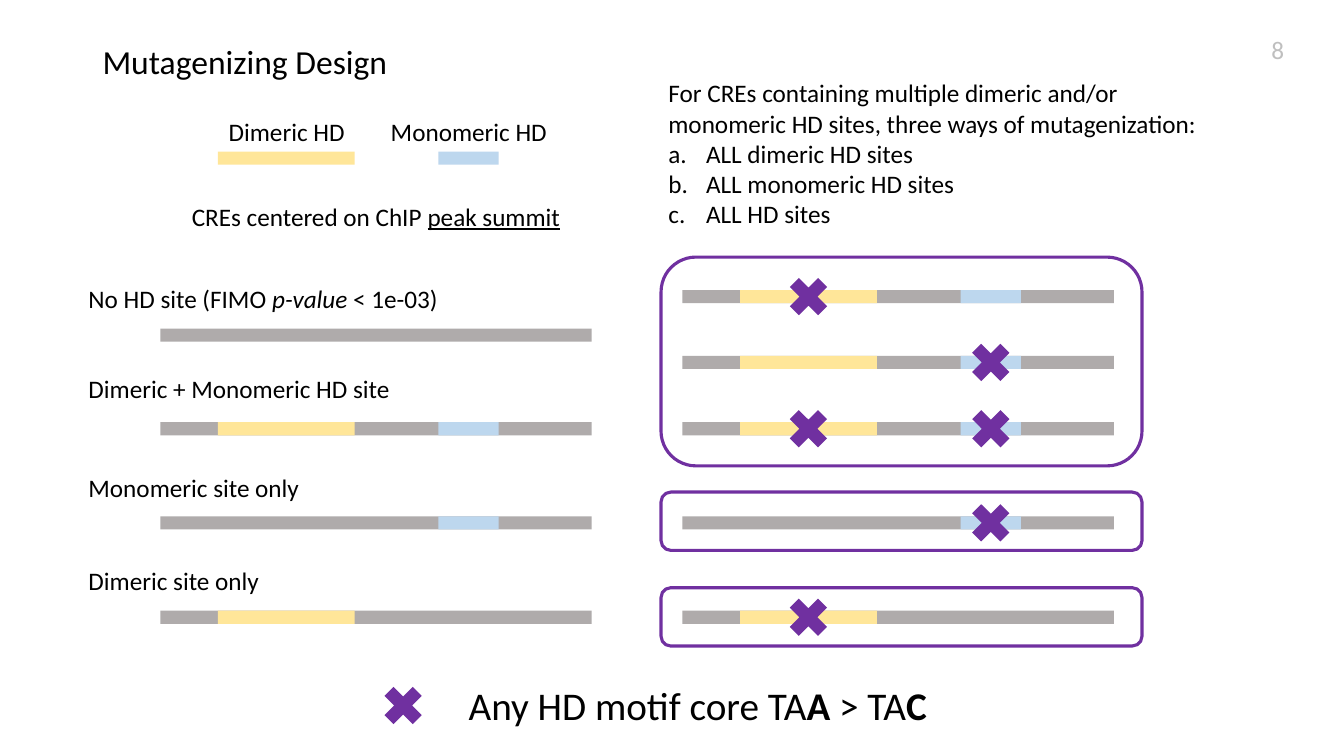
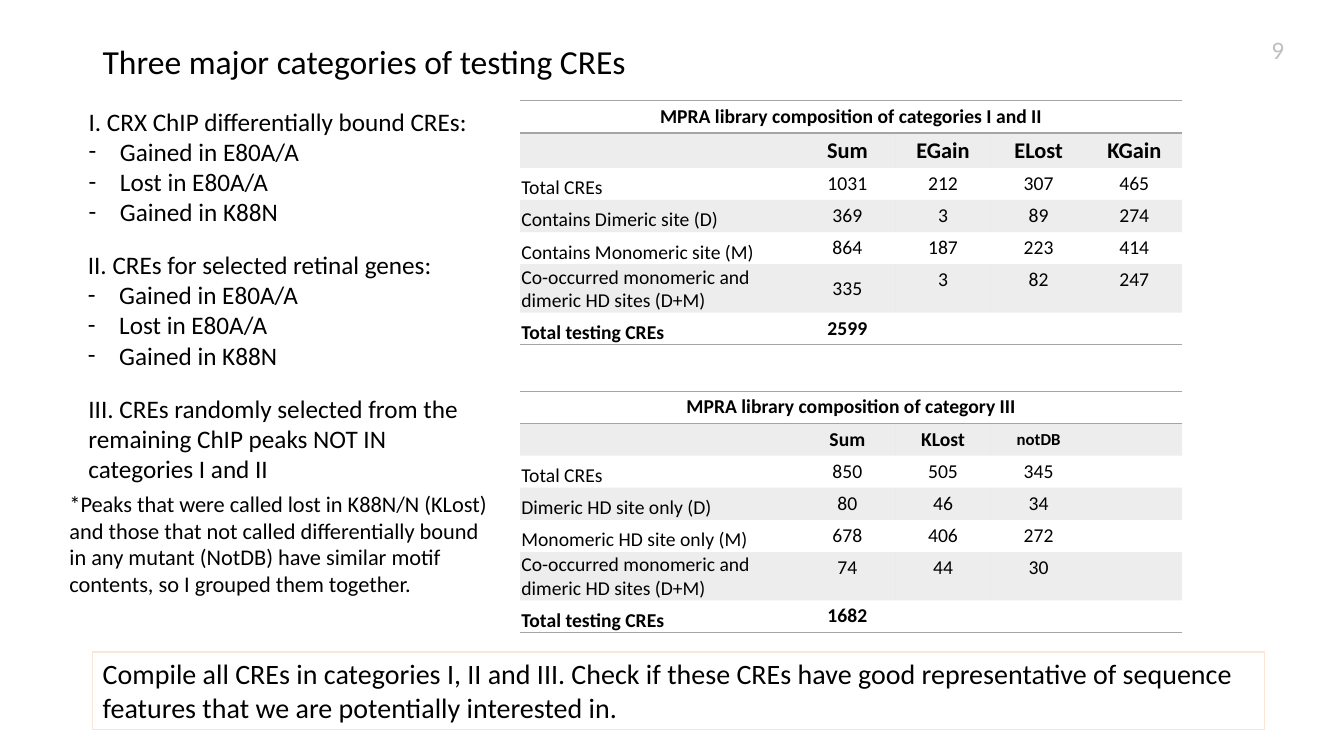
import pptx
import pptx.util
import pptx.dml.color
import pptx.enum.shapes
import pptx.enum.text
import pptx.oxml.ns
from lxml import etree

Cm, Pt = pptx.util.Cm, pptx.util.Pt
RGBColor = pptx.dml.color.RGBColor
SHAPE = pptx.enum.shapes.MSO_SHAPE
ALIGN = pptx.enum.text.PP_ALIGN
ANCHOR = pptx.enum.text.MSO_ANCHOR
FIT = pptx.enum.text.MSO_AUTO_SIZE
qn = pptx.oxml.ns.qn

BLACK = RGBColor(0x00, 0x00, 0x00)
PAGE_GRAY = RGBColor(0xBF, 0xBF, 0xBF)
SEQUENCE_GRAY = RGBColor(0xAF, 0xAB, 0xAB)
DIMERIC_YELLOW = RGBColor(0xFF, 0xE6, 0x99)
MONOMERIC_BLUE = RGBColor(0xBD, 0xD7, 0xEE)
MUTATION_PURPLE = RGBColor(0x70, 0x30, 0xA0)
TABLE_GRAY = RGBColor(0xA5, 0xA5, 0xA5)
PEACH = RGBColor(0xFB, 0xE5, 0xD6)

FONT = "Calibri"
NO_GRID_STYLE = "{2D5ABB26-0587-4C30-8999-92F81FD0307C}"
SITE_HEIGHT = 0.33
SEQUENCE_WIDTH = 10.87
DIMERIC = (1.45, 3.45, DIMERIC_YELLOW)
MONOMERIC = (7.01, 1.52, MONOMERIC_BLUE)
CROSS = 1.37
LETTERS = ("a:buAutoNum", {"type": "alphaLcPeriod"})
DASHES = ("a:buChar", {"char": "-"})


class Deck:
    """Holds the shared style and the current slide, and draws each kind of element."""

    def __init__(self):
        self.prs = pptx.Presentation()
        self.prs.slide_width, self.prs.slide_height = Cm(33.87), Cm(19.05)
        self.slide = None

    def start(self, layout, title, page):
        self.slide = self.prs.slides.add_slide(self.prs.slide_layouts[layout])
        frame = self.placeholder(0, 2.33, 1.02, 29.21, 3.68)
        self.add_words(frame, [title], size=24)
        frame.paragraphs[0].line_spacing = 0.9
        self.text([page], 28.88, 0.74, 3.73, 1.04, align=ALIGN.RIGHT, color=PAGE_GRAY)

    def placeholder(self, index, left, top, width, height):
        holder = self.slide.placeholders[index]
        holder.left, holder.top = Cm(left), Cm(top)
        holder.width, holder.height = Cm(width), Cm(height)
        frame = holder.text_frame
        frame.auto_size = FIT.NONE
        frame.vertical_anchor = ANCHOR.TOP
        return frame

    def add_words(self, frame, paragraphs, size=18, align=ALIGN.LEFT, color=BLACK):
        """Each paragraph is a string or a list of (text, style letters) runs."""
        for number, content in enumerate(paragraphs):
            paragraph = frame.paragraphs[0] if number == 0 else frame.add_paragraph()
            paragraph.alignment = align
            runs = [(content, "")] if isinstance(content, str) else content
            for words, style in runs:
                run = paragraph.add_run()
                run.text = words
                font = run.font
                font.name, font.size, font.color.rgb = FONT, Pt(size), color
                if "b" in style:
                    font.bold = True
                if "i" in style:
                    font.italic = True
                if "u" in style:
                    font.underline = True

    def text(self, paragraphs, left, top, width, height, **style):
        box = self.slide.shapes.add_textbox(Cm(left), Cm(top), Cm(width), Cm(height))
        box.text_frame.word_wrap = True
        box.text_frame.auto_size = FIT.SHAPE_TO_FIT_TEXT
        self.add_words(box.text_frame, paragraphs, **style)
        return box

    def bullets(self, index, intro, items, marker, indent, left, top, width, height):
        frame = self.placeholder(index, left, top, width, height)
        self.add_words(frame, [intro, *items])
        for number, paragraph in enumerate(frame.paragraphs):
            paragraph.space_before = Pt(0)
            properties = paragraph._p.get_or_add_pPr()
            hang = Cm(indent) if number else 0
            properties.set("marL", str(hang))
            properties.set("indent", str(-hang))
            if number:
                etree.SubElement(properties, qn("a:buFont"), typeface=FONT)
                etree.SubElement(properties, qn(marker[0]), marker[1])
            else:
                etree.SubElement(properties, qn("a:buNone"))

    def shape(self, kind, left, top, width, height, fill=None, line=None):
        shape = self.slide.shapes.add_shape(kind, Cm(left), Cm(top), Cm(width), Cm(height))
        shape.shadow.inherit = False
        if fill is None:
            shape.fill.background()
        else:
            shape.fill.solid()
            shape.fill.fore_color.rgb = fill
        if line is None:
            shape.line.fill.background()
        else:
            shape.line.color.rgb, shape.line.width = line, Pt(2.25)

    def site(self, site, left, top):
        offset, width, color = site
        self.shape(SHAPE.RECTANGLE, left + offset, top, width, SITE_HEIGHT, color)

    def cross(self, center_x, center_y):
        self.shape(SHAPE.MATH_MULTIPLY, center_x - CROSS / 2, center_y - CROSS / 2,
                   CROSS, CROSS, MUTATION_PURPLE)

    def sequence(self, left, top, sites=(), mutated=()):
        self.shape(SHAPE.RECTANGLE, left, top, SEQUENCE_WIDTH, SITE_HEIGHT, SEQUENCE_GRAY)
        for site in sites:
            self.site(site, left, top)
        for offset, width, _ in mutated:
            self.cross(left + offset + width / 2, top + SITE_HEIGHT / 2)

    def frame(self, top, height):
        self.shape(SHAPE.ROUNDED_RECTANGLE, 16.66, top, 12.12, height, line=MUTATION_PURPLE)

    def border(self, cell, side):
        line = etree.Element(qn(side), w=str(Pt(1)))
        fill = etree.SubElement(line, qn("a:solidFill"))
        etree.SubElement(fill, qn("a:srgbClr"), val=str(TABLE_GRAY))
        cell._tc.get_or_add_tcPr().insert(0, line)

    def cell(self, cell, words, size, bold, align, anchor, margins):
        cell.margin_left, cell.margin_top, cell.margin_right, cell.margin_bottom = map(Cm, margins)
        cell.vertical_anchor = anchor
        if words:
            self.add_words(cell.text_frame, [[(words, "b" if bold else "")]], size, align)
        else:
            etree.SubElement(cell.text_frame.paragraphs[0]._p, qn("a:endParaRPr"), sz="1400")

    def shade(self, cell):
        cell.fill.solid()
        cell.fill.fore_color.rgb = TABLE_GRAY
        color = cell._tc.tcPr.find(".//" + qn("a:srgbClr"))
        etree.SubElement(color, qn("a:alpha"), val="20000")

    def table(self, top, rows, header_sizes, centered=()):
        last = len(rows) - 1
        table = self.slide.shapes.add_table(
            len(rows), 5, Cm(13.11), Cm(top), Cm(16.68), Cm(0.81 * len(rows))).table
        table._tbl.tblPr.find(qn("a:tableStyleId")).text = NO_GRID_STYLE
        table.first_row = table.horz_banding = False
        for column, width in zip(table.columns, [7.04] + [2.41] * 4):
            column.width = Cm(width)
        for r, values in enumerate(rows):
            table.rows[r].height = Cm(0.81)
            for c in range(5):
                cell = table.cell(r, c)
                words = values[c] if c < len(values) else ""
                is_label = c == 0 and r > 1
                anchor = ANCHOR.TOP
                if is_label:
                    anchor = ANCHOR.BOTTOM
                elif r == 1 or (r, c) in centered:
                    anchor = ANCHOR.MIDDLE
                self.cell(cell, words, header_sizes[c] if r == 1 else 14, r in (0, 1, last),
                          ALIGN.LEFT if is_label else ALIGN.CENTER, anchor,
                          (0.03, 0.03, 0.03, 0) if is_label else (0.2, 0.1, 0.2, 0.1))
                if r % 2:
                    self.shade(cell)
                else:
                    cell.fill.background()
                if r in (0, last):
                    self.border(cell, "a:lnB")
                if r == 0:
                    self.border(cell, "a:lnT")
        table.cell(0, 0).merge(table.cell(0, 4))


def mutagenizing_design(deck):
    deck.start(1, "Mutagenizing Design", "8")
    left, right = 4.04, 17.2
    both = (DIMERIC, MONOMERIC)

    for site, label, label_left, label_width in (
            (DIMERIC, "Dimeric HD", 5.36, 3.73), (MONOMERIC, "Monomeric HD", 9.25, 5.13)):
        deck.site(site, left, 3.82)
        deck.text([label], label_left, 2.8, label_width, 1.03, align=ALIGN.CENTER)
    deck.text([[("CREs centered on ChIP ", ""), ("peak summit", "u")]],
              4.47, 4.94, 10.01, 1.03, align=ALIGN.CENTER)

    no_site = [("No HD site (FIMO ", ""), ("p-value", "i"), (" < 1e-03)", "")]
    for label, label_top, top, sites in (
            (no_site, 7.01, 8.28, ()),
            ("Dimeric + Monomeric HD site", 9.27, 10.64, both),
            ("Monomeric site only", 11.77, 13.01, (MONOMERIC,)),
            ("Dimeric site only", 14.13, 15.39, (DIMERIC,))):
        deck.text([label], 1.98, label_top, 9.58, 1.03)
        deck.sequence(left, top, sites)

    for top, sites, mutated in (
            (7.31, both, (DIMERIC,)),
            (8.97, both, (MONOMERIC,)),
            (10.64, both, both),
            (13.01, (MONOMERIC,), (MONOMERIC,)),
            (15.39, (DIMERIC,), (DIMERIC,))):
        deck.sequence(right, top, sites, mutated)
    for top, height in ((6.48, 5.26), (12.4, 1.47), (14.81, 1.47)):
        deck.frame(top, height)

    deck.bullets(1, "For CREs containing multiple dimeric and/or monomeric HD sites, "
                 "three ways of mutagenization:",
                 ["ALL dimeric HD sites", "ALL monomeric HD sites", "ALL HD sites"],
                 LETTERS, 0.95, 16.59, 1.83, 13.89, 4.11)
    deck.text([[("Any HD motif core TA", ""), ("A", "b"), (" > TA", ""), ("C", "b")]],
              10.97, 17.04, 13.23, 1.45, size=28, align=ALIGN.CENTER)
    deck.cross(10.16, 17.78)


def testing_categories(deck):
    deck.start(3, "Three major categories of testing CREs", "9")
    changes = ["Gained in E80A/A", "Lost in E80A/A", "Gained in K88N"]
    for index, intro, left, top in (
            (1, "I. CRX ChIP differentially bound CREs:", 1.98, 2.54),
            (2, "II. CREs for selected retinal genes:", 1.96, 6.15)):
        deck.bullets(index, intro, changes, DASHES, 0.79, left, top, 10.41, 3.33)
    deck.text(["III. CREs randomly selected from the remaining ChIP peaks NOT IN "
               "categories I and II"], 1.98, 9.78, 9.93, 2.57)
    deck.text(["*Peaks that were called lost in K88N/N (KLost) and those that not called "
               "differentially bound in any mutant (NotDB) have similar motif contents, "
               "so I grouped them together."], 1.5, 12.22, 11.23, 3.0, size=16)

    co_occurred = "Co-occurred monomeric and dimeric HD sites (D+M)"
    deck.table(2.54, [
        ["MPRA library composition of categories I and II"],
        ["", "Sum", "EGain", "ELost", "KGain"],
        ["Total CREs", "1031", "212", "307", "465"],
        ["Contains Dimeric site (D)", "369", "3", "89", "274"],
        ["Contains Monomeric site (M)", "864", "187", "223", "414"],
        [co_occurred, "335", "3", "82", "247"],
        ["Total testing CREs", "2599"],
    ], header_sizes=[16] * 5, centered=[(5, 1)])
    deck.table(9.86, [
        ["MPRA library composition of category III"],
        ["", "Sum", "KLost", "notDB"],
        ["Total CREs", "850", "505", "345"],
        ["Dimeric HD site only (D)", "80", "46", "34"],
        ["Monomeric HD site only (M)", "678", "406", "272"],
        [co_occurred, "74", "44", "30"],
        ["Total testing CREs", "1682"],
    ], header_sizes=[14, 14, 14, 12, 14])

    conclusion = deck.text(
        ["Compile all CREs in categories I, II and III. Check if these CREs have good "
         "representative of sequence features that we are potentially interested in."],
        2.34, 16.43, 29.54, 1.96, size=20)
    conclusion.line.color.rgb, conclusion.line.width = PEACH, Pt(0.75)


def main():
    deck = Deck()
    mutagenizing_design(deck)
    testing_categories(deck)
    deck.prs.save("out.pptx")


if __name__ == "__main__":
    main()
